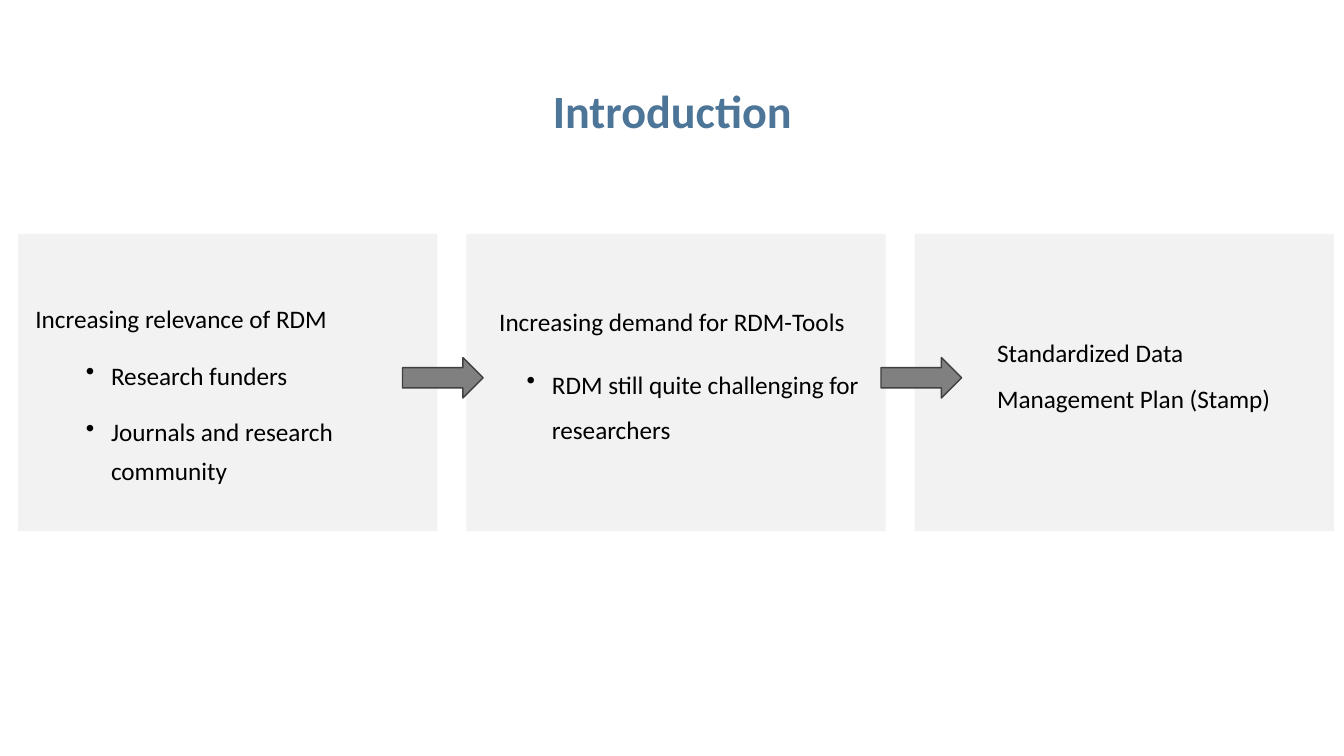
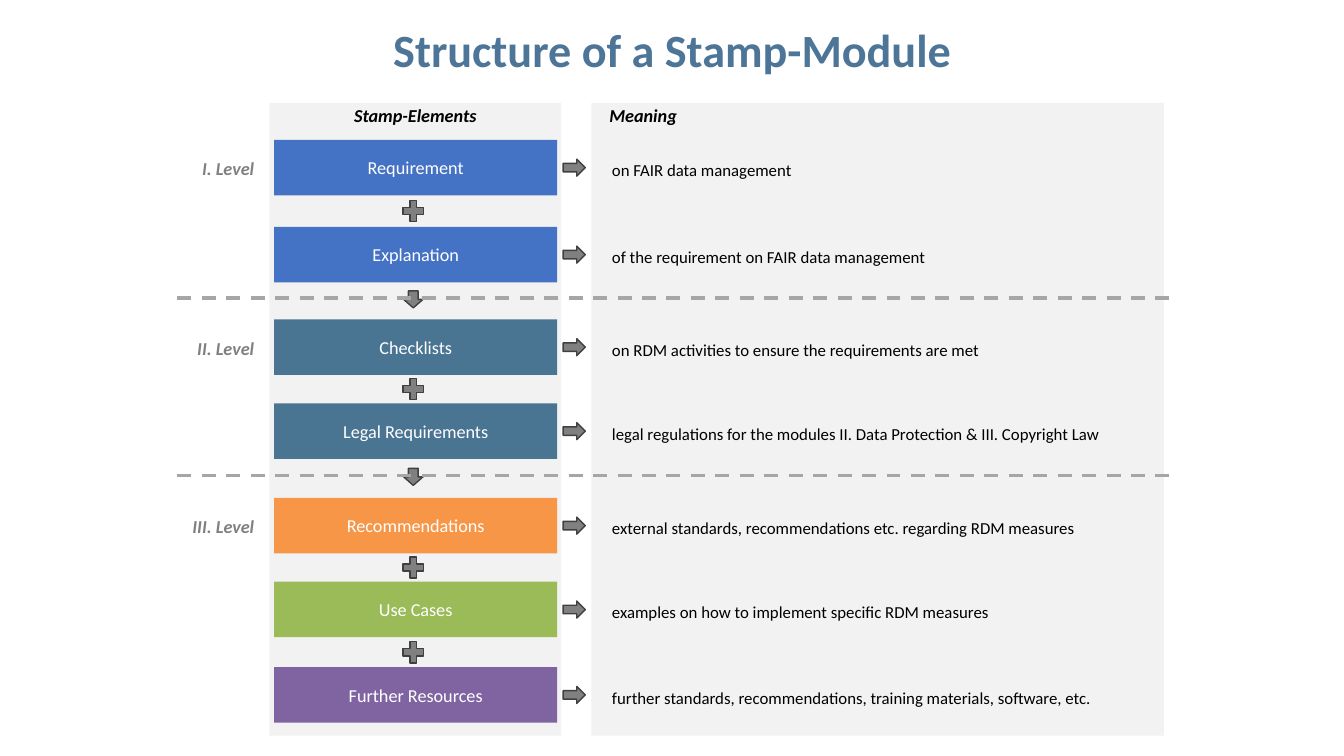
from lxml.etree import SubElement
from pptx import Presentation
from pptx.dml.color import RGBColor
from pptx.enum.dml import MSO_LINE_DASH_STYLE as Dash
from pptx.enum.shapes import MSO_CONNECTOR as Connector, MSO_SHAPE as Shape
from pptx.enum.text import MSO_ANCHOR as Anchor, PP_ALIGN as Align
from pptx.oxml.ns import qn
from pptx.util import Inches, Pt

# Shared look
WIDTH, HEIGHT = Inches(13.33), Inches(7.5)
FONT = "Calibri"
BLACK, WHITE = "000000", "FFFFFF"
TITLE_BLUE, PANEL = "4D7598", "F2F2F2"
GREY, DARK_GREY, DASH_GREY = "808080", "404040", "A6A6A6"
BLUE, TEAL, ORANGE, GREEN, PURPLE = "4472C4", "497593", "F79646", "9BBB59", "8064A2"

# Introduction: panel columns
PANEL_LEFT, PANEL_STEP, PANEL_WIDTH = 1.35, 33.35, 31.2
ARROW_LEFTS = (29.95, 65.55)

# Module structure: one entry per level, each row is (top, element, colour, meaning)
ROW_LEFT, ROW_WIDTH, ROW_HEIGHT = 20.4, 21.05, 7.35
MARK_CENTRE = 30.75
LEVELS = [
    ("I. Level", [
        (18.5, "Requirement", BLUE, "on FAIR data management"),
        (30, "Explanation", BLUE, "of the requirement on FAIR data management"),
    ]),
    ("II. Level", [
        (42.25, "Checklists", TEAL,
         "on RDM activities to ensure the requirements are met"),
        (53.35, "Legal Requirements", TEAL,
         "legal regulations for the modules II. Data Protection & III. Copyright Law"),
    ]),
    ("III. Level", [
        (65.85, "Recommendations", ORANGE,
         "external standards, recommendations etc. regarding RDM measures"),
        (76.95, "Use Cases", GREEN,
         "examples on how to implement specific RDM measures"),
        (88.25, "Further Resources", PURPLE,
         "further standards, recommendations, training materials, software, etc."),
    ]),
]


def colour(value):
    return RGBColor.from_string(value)


def area(left, top, width, height):
    """Turn percentages of the slide into lengths."""
    return (int(WIDTH * left / 100), int(HEIGHT * top / 100),
            int(WIDTH * width / 100), int(HEIGHT * height / 100))


def add_bullet(para):
    props = para._p.get_or_add_pPr()
    props.set("marL", str(Inches(0.75)))
    props.set("indent", str(-Inches(0.25)))
    SubElement(props, qn("a:buChar")).set("char", "•")


def write(shape, *texts, size=13, ink=BLACK, bold=False, italic=False,
          align=Align.LEFT, anchor=Anchor.TOP, spacing=None, gap=0, bullets=()):
    """Fill a shape with paragraphs; the texts in bullets follow as a list."""
    frame = shape.text_frame
    frame.word_wrap = True
    frame.vertical_anchor = anchor
    for index, text in enumerate((*texts, *bullets)):
        para = frame.add_paragraph() if index else frame.paragraphs[0]
        listed = index >= len(texts)
        if listed:
            add_bullet(para)
        para.alignment = Align.LEFT if listed else align
        if spacing:
            para.line_spacing = spacing
        para.space_before = Pt(gap if index else 0)
        para.space_after = Pt(gap)
        span = para.add_run()
        span.text = text
        font = span.font
        font.name, font.size, font.bold, font.italic = FONT, Pt(size), bold, italic
        font.color.rgb = colour(ink)


def add_text(page, place, *texts, **style):
    write(page.shapes.add_textbox(*area(*place)), *texts, **style)


def add_title(page, top, height, text):
    add_text(page, (6.9, top, 86.25, height), text, size=33, ink=TITLE_BLUE, bold=True,
             align=Align.CENTER, anchor=Anchor.MIDDLE, spacing=0.9)


def add_box(page, kind, place, fill, outline=None):
    box = page.shapes.add_shape(kind, *area(*place))
    box.shadow.inherit = False
    box.fill.solid()
    box.fill.fore_color.rgb = colour(fill)
    if outline:
        box.line.color.rgb = colour(outline)
        box.line.width = Pt(1)
    else:
        box.line.fill.background()
    return box


def add_mark(page, kind, centre_x, centre_y, width, height):
    """Small grey arrow or plus around a centre."""
    place = (centre_x - width / 2, centre_y - height / 2, width, height)
    return add_box(page, kind, place, GREY, DARK_GREY)


def add_dashed_line(page, y):
    left, top, width, _ = area(13.2, y, 74.35, 0)
    line = page.shapes.add_connector(Connector.STRAIGHT, left, top, left + width, top)
    line.line.color.rgb = colour(DASH_GREY)
    line.line.width = Pt(2.5)
    line.line.dash_style = Dash.DASH
    SubElement(line._element.spPr, qn("a:effectLst"))


def build_introduction(page):
    add_title(page, 5.35, 19.35, "Introduction")
    for index in range(3):
        left = PANEL_LEFT + index * PANEL_STEP
        add_box(page, Shape.RECTANGLE, (left, 30.95, PANEL_WIDTH, 39.3), PANEL)
    for left in ARROW_LEFTS:
        add_box(page, Shape.RIGHT_ARROW, (left, 47.3, 6, 5.35), GREY, DARK_GREY)

    # Statements on the panels
    style = dict(size=18, anchor=Anchor.MIDDLE, gap=6)
    add_text(page, (1.9, 36.25, 30.15, 30.7), "Increasing relevance of RDM", spacing=1.3,
             bullets=("Research funders", "Journals and research community"), **style)
    add_text(page, (34.7, 36, 30.6, 25.35), "Increasing demand for RDM-Tools",
             spacing=1.5, align=Align.CENTER,
             bullets=("RDM still quite challenging for researchers",), **style)
    add_text(page, (73.45, 36, 23.85, 25.35),
             "Standardized Data Management Plan (Stamp)", spacing=1.5, **style)


def add_element_row(page, top, element, fill, meaning):
    box = add_box(page, Shape.RECTANGLE, (ROW_LEFT, top, ROW_WIDTH, ROW_HEIGHT), fill)
    write(box, element, ink=WHITE, align=Align.CENTER, anchor=Anchor.MIDDLE)
    add_mark(page, Shape.RIGHT_ARROW, 42.72, top + ROW_HEIGHT / 2, 1.65, 2.25)
    add_text(page, (44.8, top + 2, 42.5, 4), meaning, size=12)


def build_structure(page):
    add_title(page, 2.8, 8.25, "Structure of a Stamp-Module")

    # Column panels with their headings
    for left, width, heading, align in ((20.05, 21.7, "Stamp-Elements", Align.CENTER),
                                        (44, 42.6, "Meaning", Align.LEFT)):
        add_box(page, Shape.RECTANGLE, (left, 13.6, width, 83.7), PANEL)
        indent = 0.6 if align == Align.LEFT else 0
        add_text(page, (left + indent, 13.45, width - indent, 4.3), heading,
                 bold=True, italic=True, align=align, spacing=0.9)

    # Levels: a plus joins rows, a down arrow and a dashed line part levels
    previous_bottom = None
    for level, rows in LEVELS:
        add_text(page, (13.2, rows[0][0] + 1.65, 6.45, 4.3), level, ink=GREY,
                 bold=True, italic=True, align=Align.RIGHT)
        for index, row in enumerate(rows):
            add_element_row(page, *row)
            if previous_bottom is not None:
                middle = (previous_bottom + row[0]) / 2
                if index:
                    plus = add_mark(page, Shape.CROSS, MARK_CENTRE, middle, 1.5, 2.8)
                    plus.adjustments[0] = 0.345
                else:
                    add_mark(page, Shape.DOWN_ARROW, MARK_CENTRE, middle - 0.2, 1.45, 2.25)
                    add_dashed_line(page, middle - 0.4)
            previous_bottom = row[0] + ROW_HEIGHT


def main():
    deck = Presentation()
    deck.slide_width, deck.slide_height = WIDTH, HEIGHT
    for build in (build_introduction, build_structure):
        build(deck.slides.add_slide(deck.slide_layouts[6]))
    deck.save("out.pptx")


if __name__ == "__main__":
    main()
